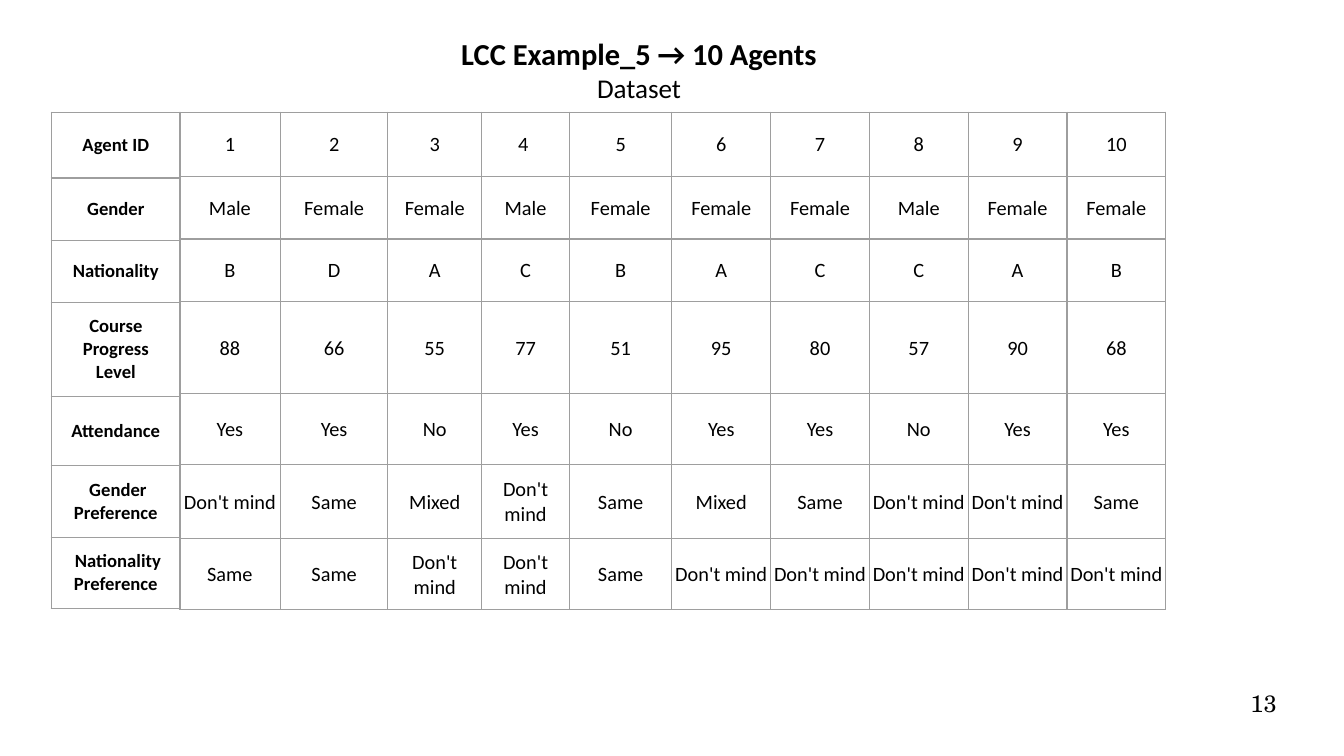
from dataclasses import dataclass

from lxml.etree import SubElement
from pptx import Presentation
from pptx.dml.color import RGBColor
from pptx.enum.text import MSO_ANCHOR as Anchor, PP_ALIGN as Align
from pptx.oxml.ns import qn
from pptx.util import Inches, Pt

BLACK = RGBColor(0x00, 0x00, 0x00)
GREY = RGBColor(0x9E, 0x9E, 0x9E)
SANS = "Calibri"
SERIF = "TeX Gyre Schola"
WIDE = (0.1, 0.1, 0.1, 0.1)
TIGHT = (0.01, 0.01, 0.01, 0)


@dataclass
class Line:
    """One paragraph and its look."""
    text: str
    size: float
    bold: bool = False
    font: str = SANS
    align: Align = Align.CENTER


@dataclass
class Grid:
    """A bordered table; the insets are given row by row."""
    left: float
    top: float
    cols: list[float]
    rows: list[float]
    cells: list[list[str]]
    insets: list[tuple]
    size: float
    bold: bool = False


def write(para, line: Line) -> None:
    """Fill a paragraph with one line of text."""
    para.text = line.text
    para.alignment = line.align
    font = para.font
    font.name, font.size, font.bold = line.font, Pt(line.size), line.bold
    font.color.rgb = BLACK


def inset(target, sides: tuple) -> None:
    """Set the left, top, right and bottom margins of a cell or frame."""
    (target.margin_left, target.margin_top,
     target.margin_right, target.margin_bottom) = map(Inches, sides)


def add_text(slide, box: tuple, sides: tuple, lines: list[Line]) -> None:
    """Add a text box with one paragraph per line."""
    frame = slide.shapes.add_textbox(*map(Inches, box)).text_frame
    frame.word_wrap = True
    inset(frame, sides)
    for i, line in enumerate(lines):
        write(frame.add_paragraph() if i else frame.paragraphs[0], line)


def add_edges(cell) -> None:
    """Draw a thin grey line on all four sides of a cell."""
    props = cell._tc.get_or_add_tcPr()
    for i, side in enumerate(("a:lnL", "a:lnR", "a:lnT", "a:lnB")):
        edge = props.makeelement(qn(side), {"w": str(Pt(0.75))})
        fill = SubElement(edge, qn("a:solidFill"))
        SubElement(fill, qn("a:srgbClr"), val=str(GREY))
        props.insert(i, edge)


def add_grid(slide, grid: Grid) -> None:
    """Add a plain table with grey borders and centred text."""
    box = (grid.left, grid.top, sum(grid.cols), sum(grid.rows))
    table = slide.shapes.add_table(
        len(grid.rows), len(grid.cols), *map(Inches, box)).table
    table.first_row = table.horz_banding = False
    for col, width in zip(table.columns, grid.cols):
        col.width = Inches(width)
    for row, height, texts, sides in zip(
            table.rows, grid.rows, grid.cells, grid.insets):
        row.height = Inches(height)
        for cell, text in zip(row.cells, texts):
            cell.fill.background()
            cell.vertical_anchor = Anchor.MIDDLE
            inset(cell, sides)
            write(cell.text_frame.paragraphs[0],
                  Line(text, grid.size, grid.bold))
            add_edges(cell)


LABELS = ["Agent ID", "Gender", "Nationality", "Course Progress Level",
          "Attendance", "\u00a0Gender Preference",
          "\u00a0Nationality Preference"]
SAME, MIXED, ANY = "Same", "Mixed", "Don't mind"
SEX = {"M": "Male", "F": "Female"}
REPLY = {"Y": "Yes", "N": "No"}
DATA = [
    "1 2 3 4\u00a0 5 6 7 8 9 10".split(" "),
    [SEX[key] for key in "MFFMFFFMFF"],
    list("BDACBACCAB"),
    "88 66 55 77 51 95 80 57 90 68".split(),
    [REPLY[key] for key in "YYNYNYYNYY"],
    [ANY, SAME, MIXED, ANY, SAME, MIXED, SAME, ANY, ANY, SAME],
    [SAME, SAME, ANY, ANY, SAME] + [ANY] * 5,
]
AGENTS = Grid(1.47, 0.92, [0.83, 0.88, 0.77, 0.72, 0.84] + [0.81] * 5,
              [0.53, 0.51, 0.51, 0.76, 0.58, 0.61, 0.58],
              DATA, [WIDE] + [TIGHT] * 6, 12)
HEADS = Grid(0.42, 0.92, [1.06],
             [0.54, 0.51, 0.51, 0.77, 0.57, 0.59, 0.58],
             [[label] for label in LABELS], [WIDE] * 7, 11, True)


def main() -> None:
    """Build the slide and save it."""
    deck = Presentation()
    deck.slide_width, deck.slide_height = Inches(11.02), Inches(6.2)
    slide = deck.slides.add_slide(deck.slide_layouts[6])
    add_text(slide, (7.9, 5.65, 2.57, 0.43), (0, 0, 0, 0),
             [Line("13", 14, font=SERIF, align=Align.RIGHT)])
    add_text(slide, (0.28, 0.24, 9.92, 0.68), (0.1, 0.05, 0.1, 0.05),
             [Line("LCC Example_5 → 10 Agents", 18, True),
              Line("Dataset", 16)])
    for grid in (AGENTS, HEADS):
        add_grid(slide, grid)
    deck.save("out.pptx")


main()
